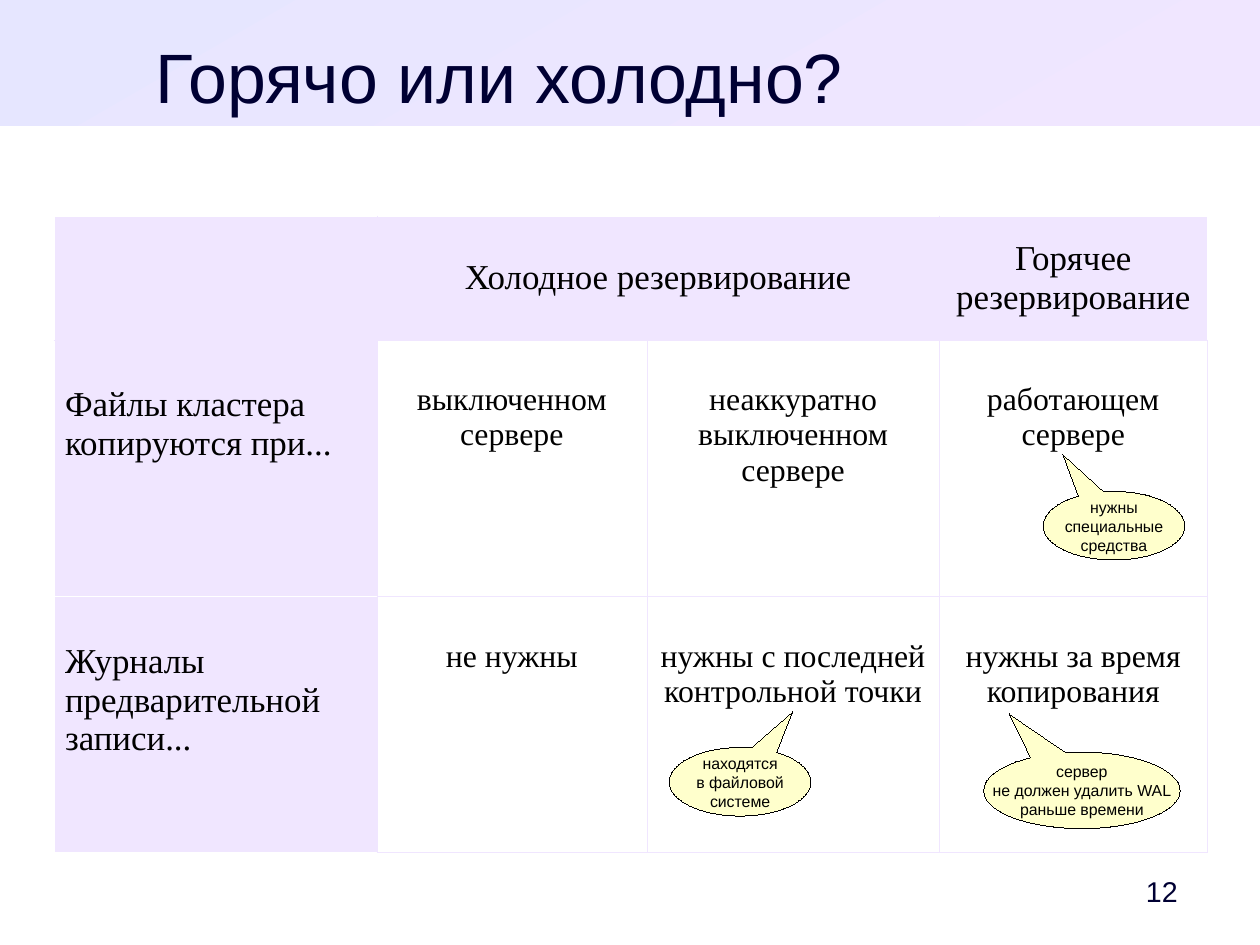
from lxml import etree
from pptx import Presentation
from pptx import util as u
from pptx.dml.color import RGBColor
from pptx.enum import shapes, text
from pptx.oxml import ns

NAVY = RGBColor(0x00, 0x00, 0x33)
BLACK = RGBColor(0x00, 0x00, 0x00)
WHITE = RGBColor(0xFF, 0xFF, 0xFF)
LILAC = RGBColor(0xF0, 0xE6, 0xFF)
SKY = RGBColor(0xE6, 0xE6, 0xFF)
CREAM = RGBColor(0xFF, 0xFF, 0xCC)

SANS, SERIF = "Arial", "Times New Roman"
LEFT, CENTER, RIGHT = (text.PP_ALIGN.LEFT, text.PP_ALIGN.CENTER,
                       text.PP_ALIGN.RIGHT)
TOP, MIDDLE = text.MSO_ANCHOR.TOP, text.MSO_ANCHOR.MIDDLE

PAGE_WIDTH, PAGE_HEIGHT, BAND_HEIGHT = 793.7, 595.28, 79.2
COLUMNS = [203.5, 170.2, 184.2, 168.8]
ROWS = [78.1, 161.6, 161.3]
TABLE_LEFT, TABLE_TOP = 33.8, 136.1
EDGE_WIDTH = 0.06

TITLE_FONT = {"size": u.Pt(44), "name": SANS, "color": NAVY}
NUMBER_FONT = {"size": u.Pt(18), "name": SANS, "color": NAVY}
NOTE_FONT = {"size": u.Pt(10), "name": SANS, "color": BLACK}
HEAD_FONT = {"size": u.Pt(22), "name": SERIF, "color": BLACK}
BODY_FONT = {"size": u.Pt(20), "name": SERIF, "color": BLACK}

CELLS = [
    ["", "Холодное резервирование", "", "Горячее резервирование"],
    ["Файлы кластера копируются при...", "выключенном сервере",
     "неаккуратно выключенном сервере", "работающем сервере"],
    ["Журналы предварительной записи...", "не нужны",
     "нужны с последней контрольной точки", "нужны за время копирования"],
]
WHITE_EDGES = {(0, 0): "LT", (0, 1): "T", (0, 2): "T", (0, 3): "TR",
               (1, 0): "LB", (2, 0): "LTB"}

CALLOUTS = [
    ((657.1, 309.6, 89.3, 43.2), (-0.36, -1.04),
     ["нужны", "специальные", "средства"]),
    ((421.6, 470.9, 89.3, 43.2), (0.37, -1.02),
     ["находятся", "в файловой", "системе"]),
    ((619.6, 473.8, 123.8, 48.2), (-0.37, -1.0),
     ["сервер", "не должен удалить WAL", "раньше времени"]),
]


def points(values):
    return [u.Pt(value) for value in values]


def apply(target, values):
    for name, value in values.items():
        setattr(target, name, value)


def write(frame, lines, font, align):
    for index, line in enumerate(lines):
        para = frame.paragraphs[0] if index == 0 else frame.add_paragraph()
        para.alignment = align
        span = para.add_run()
        span.text = line
        apply(span.font, {k: v for k, v in font.items() if k != "color"})
        span.font.color.rgb = font["color"]


def set_margins(target, left, top, right, bottom):
    sides = ("margin_left", "margin_top", "margin_right", "margin_bottom")
    apply(target, dict(zip(sides, points((left, top, right, bottom)))))


def add_title(page, words):
    title = page.shapes.title
    frame = title.text_frame
    apply(title, dict(zip(("left", "top", "width", "height"),
                          points((33.8, 20.9, 561.6, 49.7)))))
    apply(frame, {"word_wrap": True, "vertical_anchor": TOP,
                  "auto_size": text.MSO_AUTO_SIZE.NONE})
    set_margins(frame, 0, 0, 0, 0)
    write(frame, [words], TITLE_FONT, CENTER)


def add_band(page):
    band = page.shapes.add_shape(shapes.MSO_SHAPE.RECTANGLE,
                                 *points((0, 0, PAGE_WIDTH, BAND_HEIGHT)))
    band.shadow.inherit = False
    band.line.fill.background()
    band.fill.gradient()
    band.fill.gradient_angle = 300
    for stop, color in zip(band.fill.gradient_stops, (SKY, LILAC)):
        stop.color.rgb = color
    page.shapes.title.element.addprevious(band.element)


def add_page_number(page, number):
    box = page.shapes.add_textbox(*points((697.7, 544.3, 62.6, 33.8)))
    frame = box.text_frame
    apply(frame, {"word_wrap": True, "vertical_anchor": MIDDLE})
    set_margins(frame, 7.2, 3.6, 18.4, 3.6)
    write(frame, [number], NUMBER_FONT, RIGHT)


def draw_edges(cell, white_sides):
    properties = cell._tc.get_or_add_tcPr()
    for side in "LRTB":
        edge = etree.SubElement(properties, ns.qn(f"a:ln{side}"),
                                w=str(int(u.Pt(EDGE_WIDTH))))
        fill = etree.SubElement(edge, ns.qn("a:solidFill"))
        color = WHITE if side in white_sides else LILAC
        etree.SubElement(fill, ns.qn("a:srgbClr"), val=str(color))


def format_cell(cell, row, column, words):
    is_head = row == 0 or column == 0
    font = HEAD_FONT if is_head else BODY_FONT
    draw_edges(cell, WHITE_EDGES.get((row, column), ""))
    if is_head:
        cell.fill.solid()
        cell.fill.fore_color.rgb = LILAC
    else:
        cell.fill.background()
    line_height = 0 if row == 0 else font["size"].pt * 1.15
    set_margins(cell, 7.2, 3.6 + line_height, 7.2, 3.6)
    cell.vertical_anchor = MIDDLE if row == 0 else TOP
    if words:
        write(cell.text_frame, [words], font, CENTER if column else LEFT)


def add_backup_table(page):
    place = points((TABLE_LEFT, TABLE_TOP, sum(COLUMNS), sum(ROWS)))
    table = page.shapes.add_table(len(ROWS), len(COLUMNS), *place).table
    apply(table, {"first_row": False, "horz_banding": False})
    for column, width in zip(table.columns, points(COLUMNS)):
        column.width = width
    for row, height in zip(table.rows, points(ROWS)):
        row.height = height
    table.cell(0, 1).merge(table.cell(0, 2))
    for row, line in enumerate(CELLS):
        for column, words in enumerate(line):
            format_cell(table.cell(row, column), row, column, words)


def add_callout(page, place, tip, lines):
    callout = page.shapes.add_shape(shapes.MSO_SHAPE.OVAL_CALLOUT,
                                    *points(place))
    callout.shadow.inherit = False
    callout.fill.solid()
    callout.fill.fore_color.rgb = CREAM
    callout.line.color.rgb = BLACK
    callout.element.spPr.find(ns.qn("a:ln")).set("w", "0")
    for index, value in enumerate(tip):
        callout.adjustments[index] = value
    frame = callout.text_frame
    apply(frame, {"word_wrap": False, "vertical_anchor": MIDDLE})
    set_margins(frame, 7.2, 3.6, 7.2, 3.6)
    write(frame, lines, NOTE_FONT, CENTER)


def main():
    deck = Presentation()
    apply(deck, {"slide_width": u.Pt(PAGE_WIDTH),
                 "slide_height": u.Pt(PAGE_HEIGHT)})
    page = deck.slides.add_slide(deck.slide_layouts[5])
    add_title(page, "Горячо или холодно?")
    add_band(page)
    add_page_number(page, "12")
    add_backup_table(page)
    for place, tip, lines in CALLOUTS:
        add_callout(page, place, tip, lines)
    deck.save("out.pptx")


if __name__ == "__main__":
    main()
